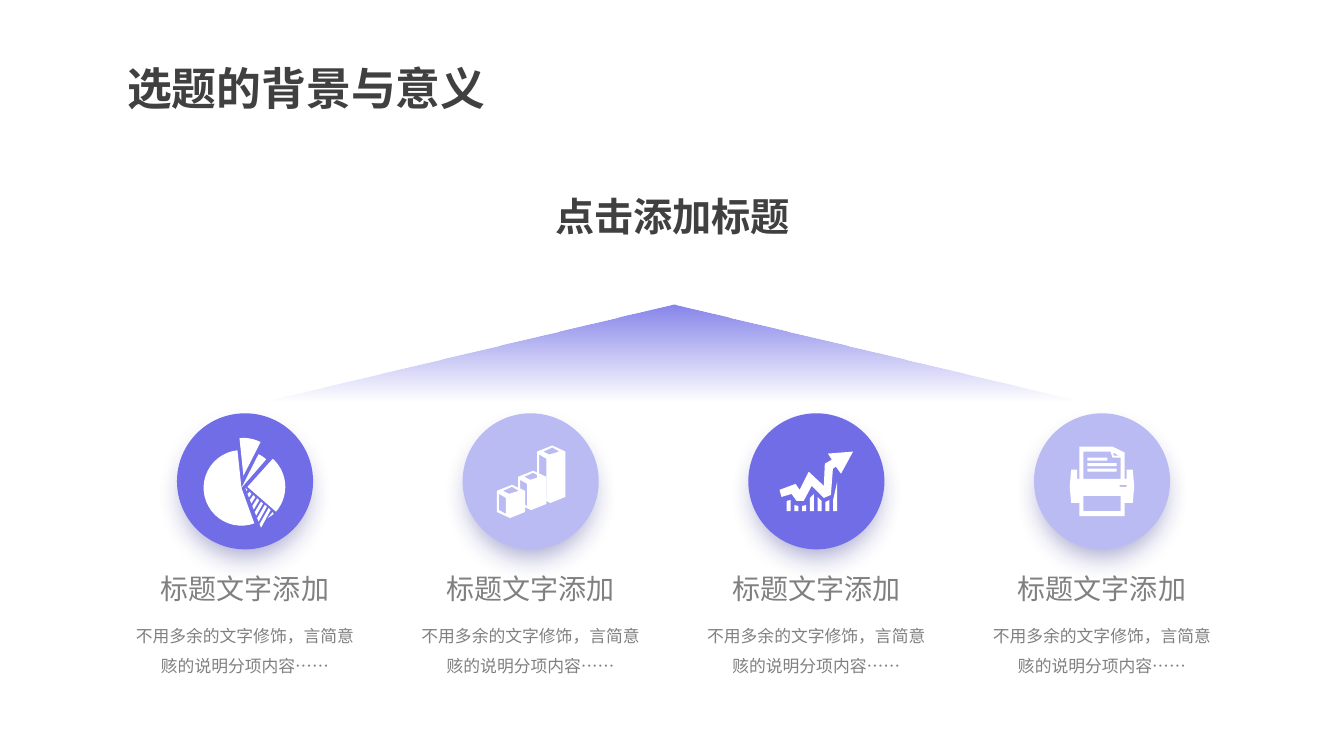
from math import cos, radians, sin

from lxml.etree import SubElement
from pptx import Presentation
from pptx.dml.color import RGBColor
from pptx.enum.shapes import MSO_SHAPE as Preset
from pptx.enum.text import MSO_ANCHOR as Anchor, MSO_AUTO_SIZE as AutoSize, PP_ALIGN as Align
from pptx.oxml.ns import qn
from pptx.util import Inches, Pt

FONT = "Noto Sans CJK SC"
DARK = RGBColor(0x40, 0x40, 0x40)
GRAY = RGBColor(0x80, 0x80, 0x80)
WHITE = RGBColor(0xFF, 0xFF, 0xFF)
VIOLET = RGBColor(0x70, 0x6D, 0xE6)
LILAC = RGBColor(0xBB, 0xBB, 0xF3)
ROOF = RGBColor(0x56, 0x54, 0xE2)
SHADOW = RGBColor(0x18, 0x16, 0x85)

COLUMN_LEFT = 1.21
COLUMN_STEP = 8.5 / 3
COLUMN_WIDTH = 2.44
CIRCLE_TOP = 4.1
CIRCLE_SIZE = 1.35
ICON_GRID = 135  # icon units across a circle, one hundredth of an inch each


# Outlines, in icon units from the top left of the circle
def rectangle(left, top, right, bottom):
    return [(left, top), (right, top), (right, bottom), (left, bottom)]


def wedge(center_x, center_y, start, end, radius=37.5, steps=24):
    """Pie slice between two angles, clockwise from the right."""
    angles = [radians(start + (end - start) * step / steps) for step in range(steps + 1)]
    arc = [(center_x + radius * cos(a), center_y + radius * sin(a)) for a in angles]
    return [(center_x, center_y)] + arc


# Each icon is a list of shapes, and each shape a list of outlines
def pie_icon():
    large = wedge(64, 74, 70, 264)
    raised = wedge(66, 62, 264, 297)
    narrow = wedge(64, 74, 297, 311)
    right = wedge(70, 73, -48, 41)
    tip = [(68, 74), (70, 76), (69, 77)]
    rim = [(95, 98), (96, 100), (90, 104)]
    stripes = []
    for index in range(6):
        right_x, right_y = 72 + 3.8 * index, 78 + 3.2 * index
        left_x, left_y = 70 + 2.4 * index, 80 + 6 * index
        stripes.append([(right_x, right_y), (right_x + 2, right_y + 2),
                        (left_x + 1.5, left_y + 3.5), (left_x, left_y)])
    return [[large, raised, narrow, right, tip, rim, *stripes]]


def block(left, top, height):
    """Box seen from above, with openings in its lid and its left face."""
    body = [(0, 0), (15, -6), (28, 0), (28, height), (13, height + 6), (0, height)]
    lid = [(6, 0), (12, 3), (22, 0), (15, -4)]
    face = [(2, 3), (9, 7), (9, height + 2), (2, height - 2)]
    return [[(left + x, top + y) for x, y in outline] for outline in (body, lid, face)]


def blocks_icon():
    return [block(74, 38, 45), block(55, 63, 27), block(34, 77, 21)]


def growth_icon():
    bar_tops = [(87, 86), (91, 92), (92, 91), (84, 80), (83, 87), (88, 86), (86, 68)]
    bar_step, bar_width, base = 7.7, 4, 97
    bars = []
    for index, (left_top, right_top) in enumerate(bar_tops):
        left = 38 + index * bar_step
        right = left + bar_width
        bars.append([(left, left_top), (right, right_top), (right, base), (left, base)])
    upper_edge = [(31, 76), (47, 70), (51, 76), (60, 58), (75, 72), (76, 50), (83, 46)]
    head = [(79, 40), (104, 38), (92, 60)]
    lower_edge = [(87, 53), (84, 55), (82, 81), (75, 84), (63, 72),
                  (55, 87), (48, 87), (43, 80), (33, 83)]
    return [[upper_edge + head + lower_edge, *bars]]


def printer_icon():
    left_side = [(45, 33), (45, 65), (43, 65), (43, 56), (37, 56),
                 (35.5, 72.5), (37, 89), (45, 89), (45, 102)]
    right_side = [(ICON_GRID - x, y) for x, y in reversed(left_side[1:])]
    cut_corner = [(90, 39), (78, 33)]
    body = left_side + right_side + cut_corner
    paper = [(49, 65), (86, 65), (86, 44), (78, 44), (76, 38), (49, 38)]
    fold = [(79, 39), (79, 42), (84, 42)]
    tray = rectangle(49, 82, 86, 97)
    button = rectangle(85, 71, 92, 73)
    text_lines = [rectangle(53, 44 + 5.5 * row, right, 47 + 5.5 * row)
                  for row, right in enumerate((73, 82, 82))]
    return [[body, paper, fold, tray, button, *text_lines]]


COLUMNS = [(VIOLET, pie_icon), (LILAC, blocks_icon),
           (VIOLET, growth_icon), (LILAC, printer_icon)]


# Elements of the page
def add_outlines(page, outlines):
    """One borderless shape from closed outlines given in inches."""
    builder = None
    for outline in outlines:
        first, *others = [(Inches(x), Inches(y)) for x, y in outline]
        if builder is None:
            builder = page.shapes.build_freeform(*first)
        else:
            builder.move_to(*first)
        builder.add_line_segments(others, close=True)
    shape = builder.convert_to_shape()
    shape.line.fill.background()
    shape.shadow.inherit = False
    return shape


def add_icon(page, left, icon_shapes):
    unit = CIRCLE_SIZE / ICON_GRID
    for outlines in icon_shapes:
        placed = [[(left + x * unit, CIRCLE_TOP + y * unit) for x, y in outline]
                  for outline in outlines]
        shape = add_outlines(page, placed)
        shape.fill.solid()
        shape.fill.fore_color.rgb = WHITE


def set_opacity(color_element, percent):
    SubElement(color_element, qn("a:alpha"), val=str(percent * 1000))


def add_roof(page):
    roof = add_outlines(page, [[(2.64, 3.97), (6.69, 3.02), (10.72, 3.97)]])
    roof.fill.gradient()
    roof.fill.gradient_angle = 270
    for stop, opacity in zip(roof.fill.gradient_stops, (72, 0)):
        stop.color.rgb = ROOF
        set_opacity(stop._gs.find(qn("a:srgbClr")), opacity)
    roof.fill.gradient_stops[0].position = 0
    roof.fill.gradient_stops[1].position = 1


def add_circle(page, left, color):
    circle = page.shapes.add_shape(Preset.FLOWCHART_CONNECTOR, Inches(left), Inches(CIRCLE_TOP),
                                   Inches(CIRCLE_SIZE), Inches(CIRCLE_SIZE))
    circle.fill.solid()
    circle.fill.fore_color.rgb = color
    circle.line.fill.background()
    circle.shadow.inherit = False
    # Soft shadow below, slightly smaller than the circle
    effects = circle._element.spPr.find(qn("a:effectLst"))
    shadow = SubElement(effects, qn("a:outerShdw"), blurRad=str(Pt(20)), dist=str(Pt(9)),
                        dir="5400000", sx="90000", sy="90000", algn="ctr", rotWithShape="0")
    set_opacity(SubElement(shadow, qn("a:srgbClr"), val=str(SHADOW)), 40)


def write(box, text, size, color, bold=False, align=Align.CENTER):
    frame = box.text_frame
    frame.word_wrap = True
    frame.vertical_anchor = Anchor.TOP
    frame.text = text
    para = frame.paragraphs[0]
    para.alignment = align
    para.font.name = FONT
    para.font.size = Pt(size)
    para.font.bold = bold
    para.font.color.rgb = color
    return para


def add_text(page, left, top, width, height, *style, **options):
    box = page.shapes.add_textbox(Inches(left), Inches(top), Inches(width), Inches(height))
    return write(box, *style, **options)


def set_title(page, text):
    title = page.shapes.title
    title.left, title.top = Inches(1.16), Inches(0.39)
    title.width, title.height = Inches(4.72), Inches(0.75)
    write(title, text, 32, DARK, bold=True, align=Align.LEFT).line_spacing = 1.3
    title.text_frame.auto_size = AutoSize.SHAPE_TO_FIT_TEXT


def add_column(page, left, color, draw_icon):
    circle_left = left + (COLUMN_WIDTH - CIRCLE_SIZE) / 2
    add_circle(page, circle_left, color)
    add_icon(page, circle_left, draw_icon())
    add_text(page, left + 0.25, 5.62, 1.94, 0.44, "标题文字添加", 20, GRAY)
    body = add_text(page, left, 6.06, COLUMN_WIDTH, 0.98,
                    "不用多余的文字修饰，言简意赅的说明分项内容……", 12, GRAY)
    body.line_spacing = 1.5
    body.space_after = Pt(6)


def main():
    deck = Presentation()
    deck.slide_width, deck.slide_height = Inches(13.33), Inches(7.5)
    page = deck.slides.add_slide(deck.slide_layouts[5])
    set_title(page, "选题的背景与意义")

    # Roof with its heading
    add_roof(page)
    add_text(page, 4.9, 1.86, 3.54, 0.57, "点击添加标题", 28, DARK, bold=True)

    # Four topics
    for index, (color, draw_icon) in enumerate(COLUMNS):
        add_column(page, COLUMN_LEFT + index * COLUMN_STEP, color, draw_icon)

    deck.save("out.pptx")


if __name__ == "__main__":
    main()
